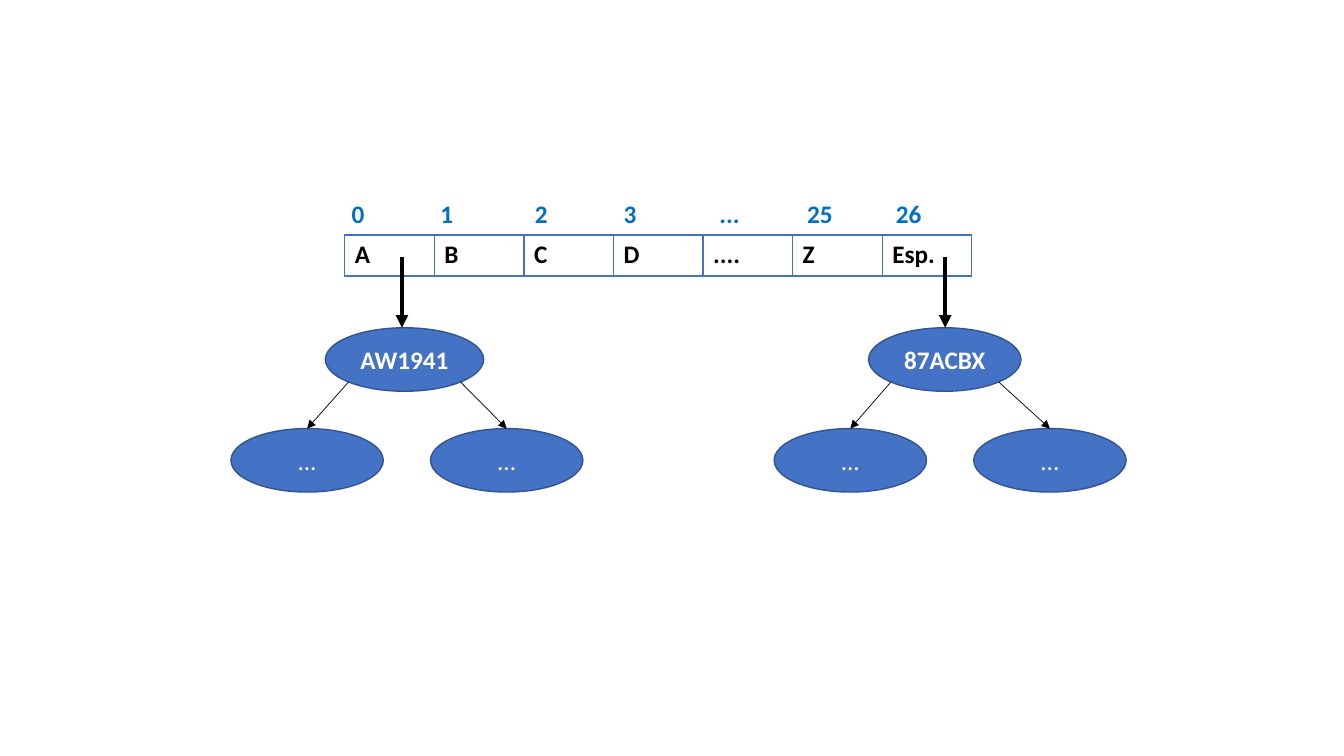
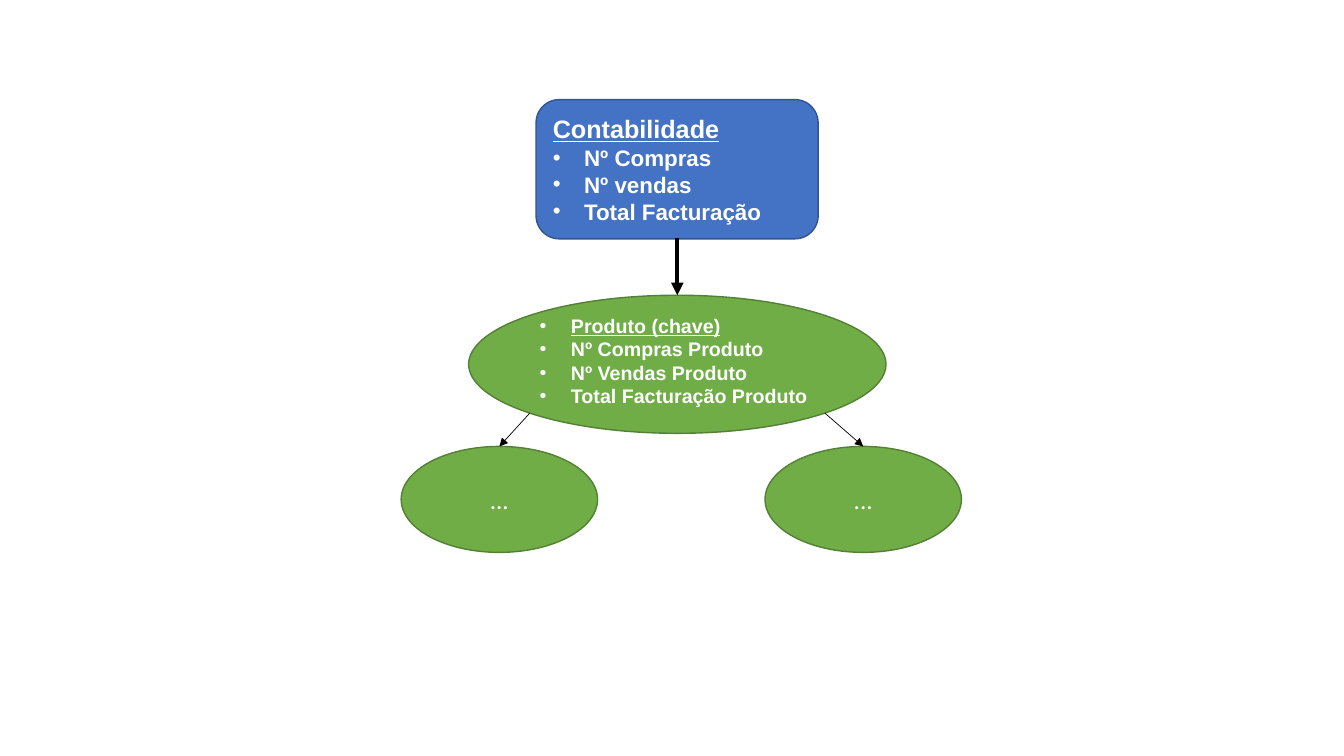
from math import sqrt
from lxml import etree
from pptx import Presentation
from pptx import util as u
from pptx.dml.color import RGBColor
from pptx.enum import shapes, text
from pptx.oxml import ns

Cm, Pt = u.Cm, u.Pt
KIND, ALIGN = shapes.MSO_SHAPE, text.PP_ALIGN

BLUE = RGBColor(0x44, 0x72, 0xC4)
NAVY = RGBColor(0x32, 0x54, 0x91)
SKY = RGBColor(0x00, 0x70, 0xC0)
GREEN = RGBColor(0x70, 0xAD, 0x47)
MOSS = RGBColor(0x53, 0x80, 0x35)
BLACK = RGBColor(0, 0, 0)
WHITE = RGBColor(255, 255, 255)


def sub(node, tag, **attrs):
    return etree.SubElement(node, ns.qn(tag), **attrs)


def write(frame, line, size=18, font="Calibri", color=WHITE, bold=False,
          under=False, bullet=False, align=ALIGN.LEFT):
    """Add one paragraph, filling the empty first one if there is one."""
    para = frame.paragraphs[0] if not frame.text else frame.add_paragraph()
    para.alignment = align
    run = para.add_run()
    run.text = line
    face = run.font
    face.size, face.name, face.bold, face.underline = Pt(size), font, bold, under
    face.color.rgb = color
    if bullet:
        props = para._p.get_or_add_pPr()
        props.set("marL", str(Cm(0.79)))
        props.set("indent", str(Cm(-0.79)))
        sub(props, "a:buFont", typeface="Arial")
        sub(props, "a:buChar", char="•")


class Deck:
    def __init__(self):
        self.file = Presentation()
        self.file.slide_width, self.file.slide_height = Cm(33.87), Cm(19.05)

    def page(self):
        self.slide = self.file.slides.add_slide(self.file.slide_layouts[6])

    def shape(self, kind, box, fill, edge):
        item = self.slide.shapes.add_shape(kind, *map(Cm, box))
        item.shadow.inherit = False
        item.fill.solid()
        item.fill.fore_color.rgb = fill
        item.line.color.rgb = edge
        item.line.width = Pt(1)
        frame = item.text_frame
        frame.word_wrap = True
        frame.vertical_anchor = text.MSO_ANCHOR.MIDDLE
        return frame

    def label(self, line, box, **fmt):
        frame = self.slide.shapes.add_textbox(*map(Cm, box)).text_frame
        frame.word_wrap = True
        write(frame, line, **fmt)

    def arrow(self, start, end, width):
        line = self.slide.shapes.add_connector(
            shapes.MSO_CONNECTOR.STRAIGHT, *map(Cm, start + end))
        line.line.color.rgb = BLACK
        line.line.width = Pt(width)
        sub(line.line._get_or_add_ln(), "a:tailEnd", type="triangle")
        sub(line._element.spPr, "a:effectLst")

    def table(self, row, box):
        grid = self.slide.shapes.add_table(1, len(row), *map(Cm, box)).table
        grid.first_row = grid.horz_banding = False
        for cell, line in zip(grid.rows[0].cells, row):
            write(cell.text_frame, line, color=BLACK, bold=True)
            props = cell._tc.get_or_add_tcPr()
            for side, width in zip("LRTB", (1, 1, 1, 2)):
                edge = sub(props, "a:ln" + side, w=str(Pt(width)))
                sub(sub(edge, "a:solidFill"), "a:srgbClr", val=str(BLUE))
            cell.fill.background()

    def tree(self, root, kids, size, fill, edge):
        """Draw a root with two child nodes; return the root's text frame."""
        x, y, w, h = root
        reach = sqrt(2) / 4
        frame = self.shape(KIND.OVAL, root, fill, edge)
        for (left, top), turn in zip(kids, (-reach, reach)):
            kid = self.shape(KIND.OVAL, (left, top) + size, fill, edge)
            write(kid, "...", align=ALIGN.CENTER)
            self.arrow((x + w * (0.5 + turn), y + h * (0.5 + reach)),
                       (left + size[0] / 2, top), 0.5)
        return frame


deck = Deck()

# Slide 1: index table with a tree below its first and last cells
deck.page()
deck.table(["A", "B", "C", "D", "....", "Z", "Esp."], (8.69, 5.92, 15.8, 1.04))
marks = {"0": 8.61, "1": 10.85, "2": 13.23, "3": 15.47,
         "...": 17.88, "25": 20.09, "26": 22.33}
for mark, left in marks.items():
    deck.label(mark, (left, 4.88, 2.39, 1.02), color=SKY, bold=True)
for code, shift, wide in (("AW1941", 0, 3.99), ("87ACBX", 13.69, 3.84)):
    node = deck.tree((8.2 + shift, 8.26, wide, 1.6),
                     [(5.82 + shift, 10.8), (10.85 + shift, 10.8)],
                     (3.84, 1.6), BLUE, NAVY)
    write(node, code, bold=True, align=ALIGN.CENTER)
    deck.arrow((10.13 + shift, 6.48), (10.13 + shift, 8.26), 3)

# Slide 2: accounting record and product tree
deck.page()
bold = dict(font="Arial", bold=True)
card = deck.shape(KIND.ROUNDED_RECTANGLE, (13.51, 2.51, 7.11, 3.51), BLUE, NAVY)
write(card, "Contabilidade", under=True, **bold)
for line in ("Nº Compras", "Nº vendas", "Total Facturação"):
    write(card, line, size=16, bullet=True, **bold)

node = deck.tree((11.81, 7.44, 10.52, 3.48), [(10.11, 11.25), (19.28, 11.25)],
                 (4.95, 2.67), GREEN, MOSS)
node.margin_bottom = Cm(0.3)
fields = ("Produto (chave)", "Nº Compras Produto", "Nº Vendas Produto",
          "Total Facturação Produto")
for line in fields:
    write(node, line, size=14, under=line == fields[0], bullet=True, **bold)
deck.arrow((17.07, 6), (17.07, 7.44), 3)

deck.file.save("out.pptx")
